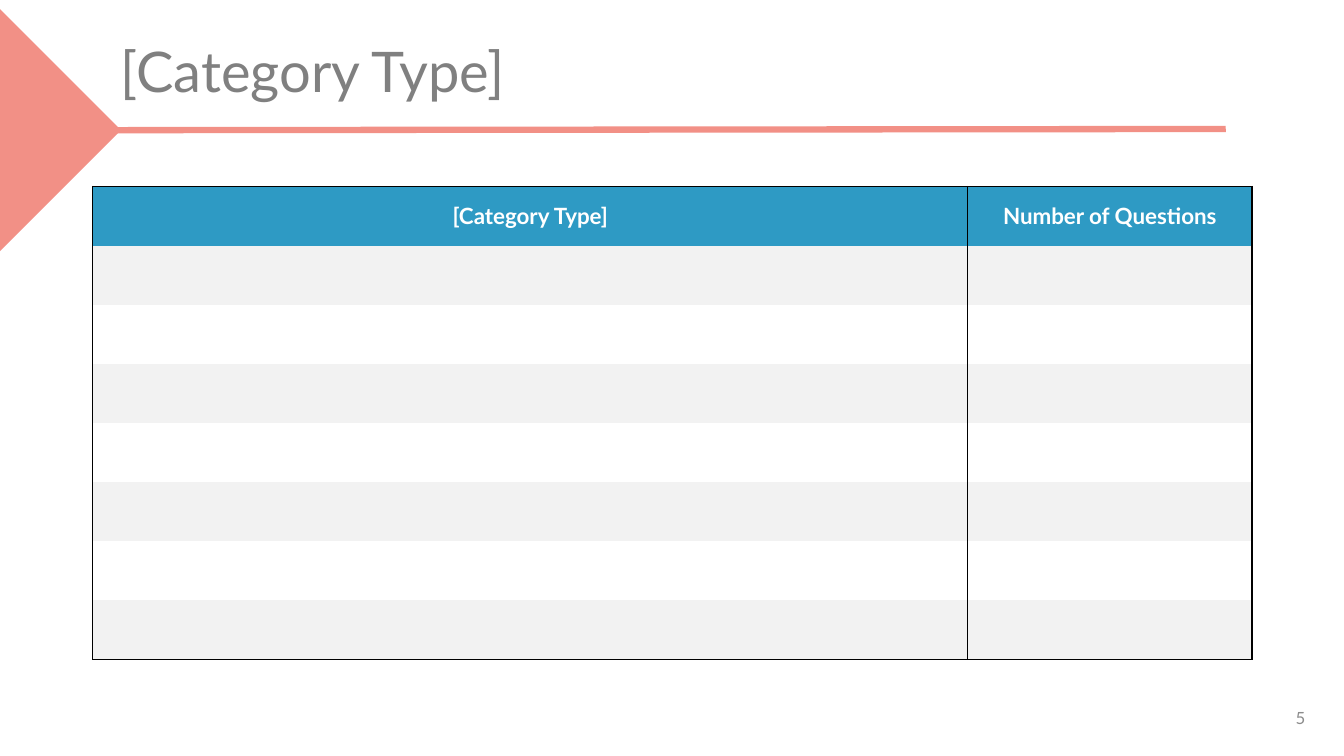
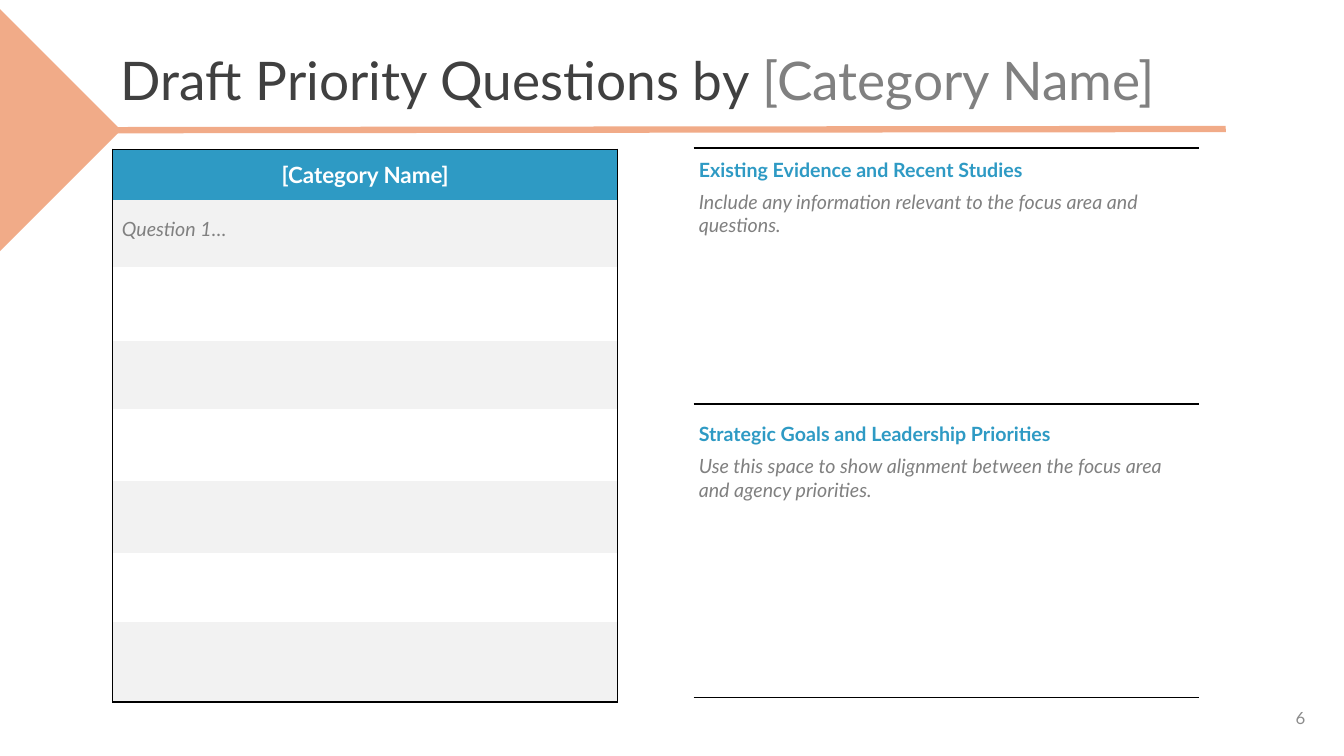
"""Build two category slides: a question count table and a draft priority list."""
from dataclasses import dataclass, field
from typing import Any

from lxml import etree
from pptx import Presentation
from pptx.dml.color import RGBColor
from pptx.enum.shapes import MSO_CONNECTOR, MSO_SHAPE
from pptx.enum.text import MSO_ANCHOR, MSO_AUTO_SIZE, PP_ALIGN
from pptx.oxml.ns import qn
from pptx.util import Cm, Pt

LEFT, CENTER, RIGHT = PP_ALIGN.LEFT, PP_ALIGN.CENTER, PP_ALIGN.RIGHT
TOP, MIDDLE = MSO_ANCHOR.TOP, MSO_ANCHOR.MIDDLE
NO_AUTOFIT = MSO_AUTO_SIZE.NONE
TRIANGLE, STRAIGHT = MSO_SHAPE.RIGHT_TRIANGLE, MSO_CONNECTOR.STRAIGHT

FONT = "Lato"
BLUE, WHITE, BLACK = "2E9AC4", "FFFFFF", "000000"
BAND, DARK, GREY, PALE_GREY = "F2F2F2", "404040", "808080", "8C8C8C"
CORAL, PEACH = "F29086", "F1AB88"
PLAIN_TABLE = "{2D5ABB26-0587-4C30-8999-92F81FD0307C}"
EDGES = ("L", "R", "T", "B")

TITLE_FRAME = {"vertical_anchor": MIDDLE, "auto_size": NO_AUTOFIT, "word_wrap": True}
NUMBER_FRAME = {"vertical_anchor": MIDDLE, "word_wrap": True}
TITLE_LINE = {"alignment": LEFT, "line_spacing": 0.9}
TIGHT = {"margin_left": Cm(0.13), "margin_right": Cm(0.13),
         "margin_top": 0, "margin_bottom": 0}
HEADER_CELL = TIGHT | {"vertical_anchor": MIDDLE}
QUESTION_CELL = HEADER_CELL | {"margin_left": Cm(0.23), "margin_bottom": Cm(0.1)}
HEADING_LINE = {"line_spacing": Pt(12), "space_after": Pt(6)}
HEADER_FONT = {"size": Pt(16), "bold": True}
HEADING_FONT = {"size": Pt(14), "bold": True}
HINT_FONT = {"size": Pt(14), "italic": True}


@dataclass
class Run:
    """A stretch of text in one format."""
    text: str
    color: str
    font: dict[str, Any]


@dataclass
class Para:
    """A paragraph made of runs."""
    runs: list[Run]
    layout: dict[str, Any] = field(default_factory=dict)


@dataclass
class Cell:
    """A table cell with its text, fill and drawn edges."""
    paras: list[Para] = field(default_factory=list)
    fill: str | None = None
    layout: dict[str, Any] = field(default_factory=dict)
    edges: str = "LR"


@dataclass
class Grid:
    """A table with its position, sizes and cells, in centimetres."""
    left: float
    top: float
    widths: list[float]
    heights: list[float]
    rows: list[list[Cell]]


@dataclass
class Page:
    """A slide with its accent, title, number and tables."""
    accent: str
    title: list[Run]
    title_box: tuple[float, float, float, float]
    number: str
    grids: list[Grid]


def paint(hex_color: str) -> RGBColor:
    """Turn a hex string into a colour."""
    return RGBColor.from_string(hex_color)


def apply(target: Any, values: dict[str, Any]) -> None:
    """Set every format value on the target."""
    for name, value in values.items():
        setattr(target, name, value)


def write(frame: Any, paras: list[Para]) -> None:
    """Fill a text frame with formatted paragraphs."""
    for index, para in enumerate(paras):
        paragraph = frame.paragraphs[0] if index == 0 else frame.add_paragraph()
        apply(paragraph, para.layout)
        for part in para.runs:
            run = paragraph.add_run()
            run.text = part.text
            apply(run.font, {"name": FONT} | part.font)
            run.font.color.rgb = paint(part.color)


def draw_edges(cell: Any, edges: str) -> None:
    """Draw the named cell edges in black and clear the others."""
    properties = cell._tc.get_or_add_tcPr()
    for edge in EDGES:
        line = etree.SubElement(properties, qn(f"a:ln{edge}"), w=str(Pt(1)))
        if edge in edges:
            solid = etree.SubElement(line, qn("a:solidFill"))
            etree.SubElement(solid, qn("a:srgbClr"), val=BLACK)
        else:
            etree.SubElement(line, qn("a:noFill"))


def draw_grid(slide: Any, grid: Grid) -> None:
    """Draw one table."""
    frame = slide.shapes.add_table(
        len(grid.heights), len(grid.widths), Cm(grid.left), Cm(grid.top),
        Cm(sum(grid.widths)), Cm(sum(grid.heights)))
    table = frame.table
    apply(table, {"first_row": False, "horz_banding": False})
    for style in frame.element.iter(qn("a:tableStyleId")):
        style.text = PLAIN_TABLE
    for column, width in zip(table.columns, grid.widths):
        column.width = Cm(width)
    for row, height, contents in zip(table.rows, grid.heights, grid.rows):
        row.height = Cm(height)
        for cell, content in zip(row.cells, contents):
            apply(cell, content.layout)
            draw_edges(cell, content.edges)
            if content.fill:
                cell.fill.solid()
                cell.fill.fore_color.rgb = paint(content.fill)
            else:
                cell.fill.background()
            write(cell.text_frame, content.paras)


def draw_accent(slide: Any, color: str) -> None:
    """Draw the side arrow and the rule under the title."""
    side = 3.05
    for top, rotation in ((0.23, 0), (0.23 + side, 90)):
        half = slide.shapes.add_shape(TRIANGLE, 0, Cm(top), Cm(side), Cm(side))
        half.rotation = rotation
        half.shadow.inherit = False
        half.fill.solid()
        half.fill.fore_color.rgb = paint(color)
        half.line.fill.background()
    rule = slide.shapes.add_connector(STRAIGHT, Cm(2.95), Cm(3.28), Cm(30.89), Cm(3.25))
    rule.line.color.rgb = paint(color)
    rule.line.width = Pt(4.5)
    etree.SubElement(rule.element.find(qn("p:spPr")), qn("a:effectLst"))


def draw_page(deck: Any, page: Page) -> None:
    """Add one slide with everything on it."""
    slide = deck.slides.add_slide(deck.slide_layouts[5])
    title = slide.shapes.title
    left, top, width, height = map(Cm, page.title_box)
    apply(title, {"left": left, "top": top, "width": width, "height": height})
    apply(title.text_frame, TITLE_FRAME)
    write(title.text_frame, [Para(page.title, TITLE_LINE)])
    for grid in page.grids:
        draw_grid(slide, grid)
    number = slide.shapes.add_textbox(Cm(25.53), Cm(17.58), Cm(7.62), Cm(1.02))
    apply(number.text_frame, NUMBER_FRAME)
    write(number.text_frame,
          [Para([Run(page.number, PALE_GREY, {"size": Pt(12)})], {"alignment": RIGHT})])
    draw_accent(slide, page.accent)


def banded_rows(headers: list[str], count: int) -> list[list[Cell]]:
    """Make a header row and banded empty rows in one outer frame."""
    rows = [[Cell([Para([Run(header, WHITE, HEADER_FONT)], {"alignment": CENTER})],
                  BLUE, HEADER_CELL, "LRTB") for header in headers]]
    for index in range(1, count):
        fill = BAND if index % 2 else None
        edges = "LRB" if index in (1, count - 1) else "LR"
        rows.append([Cell(fill=fill, edges=edges) for _ in headers])
    return rows


def topic_cell(heading: str, hint: str, margin_top: float, edges: str) -> Cell:
    """Make a cell with a blue heading above a grey hint."""
    return Cell([Para([Run(heading, BLUE, HEADING_FONT)], HEADING_LINE),
                 Para([Run(hint, GREY, HINT_FONT)])],
                layout=TIGHT | {"vertical_anchor": TOP, "margin_top": Cm(margin_top)},
                edges=edges)


def build_pages() -> list[Page]:
    """Describe both slides."""
    counts = Grid(2.34, 4.7, [22.05, 7.16], [1.49] * 8,
                  banded_rows(["[Category Type]", "Number of Questions"], 8))
    questions = Grid(2.84, 3.76, [12.73],
                     [1.29, 1.69, 1.86, 1.71, 1.81, 1.81, 1.74, 2.02],
                     banded_rows(["[Category Name]"], 8))
    first_question = questions.rows[1][0]
    first_question.paras = [Para([Run("Question 1…", GREY, HINT_FONT)],
                                 {"line_spacing": Pt(12)})]
    first_question.layout = QUESTION_CELL
    topics = Grid(17.48, 3.73, [12.73], [6.45, 7.39], [
        [topic_cell("Existing Evidence and Recent Studies",
                    "Include any information relevant to the focus area and questions.",
                    0.42, "TB")],
        [topic_cell("Strategic Goals and Leadership Priorities",
                    "Use this space to show alignment between the focus area "
                    "and agency priorities.", 0.63, "TB")],
    ])
    draft_font = {"size": Pt(38)}
    return [
        Page(CORAL, [Run("[Category Type]", GREY, {"size": Pt(40)})],
             (2.79, 0.69, 29.26, 2.39), "5", [counts]),
        Page(PEACH, [Run("Draft Priority Questions by ", DARK, draft_font),
                     Run("[Category Name]", GREY, draft_font)],
             (2.79, 0.25, 29.21, 3.68), "6", [questions, topics]),
    ]


def main() -> None:
    """Build and save the presentation."""
    deck = Presentation()
    apply(deck, {"slide_width": Cm(33.87), "slide_height": Cm(19.05)})
    for page in build_pages():
        draw_page(deck, page)
    deck.save("out.pptx")


if __name__ == "__main__":
    main()
